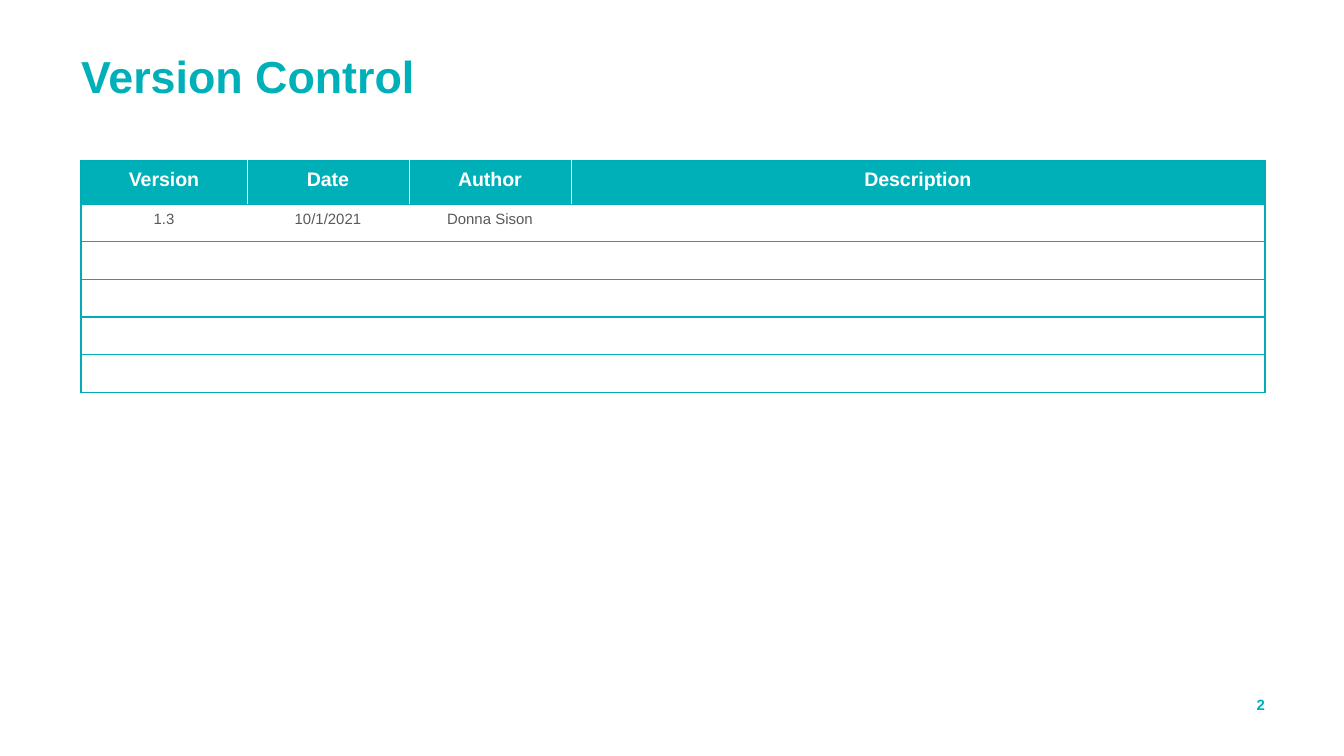
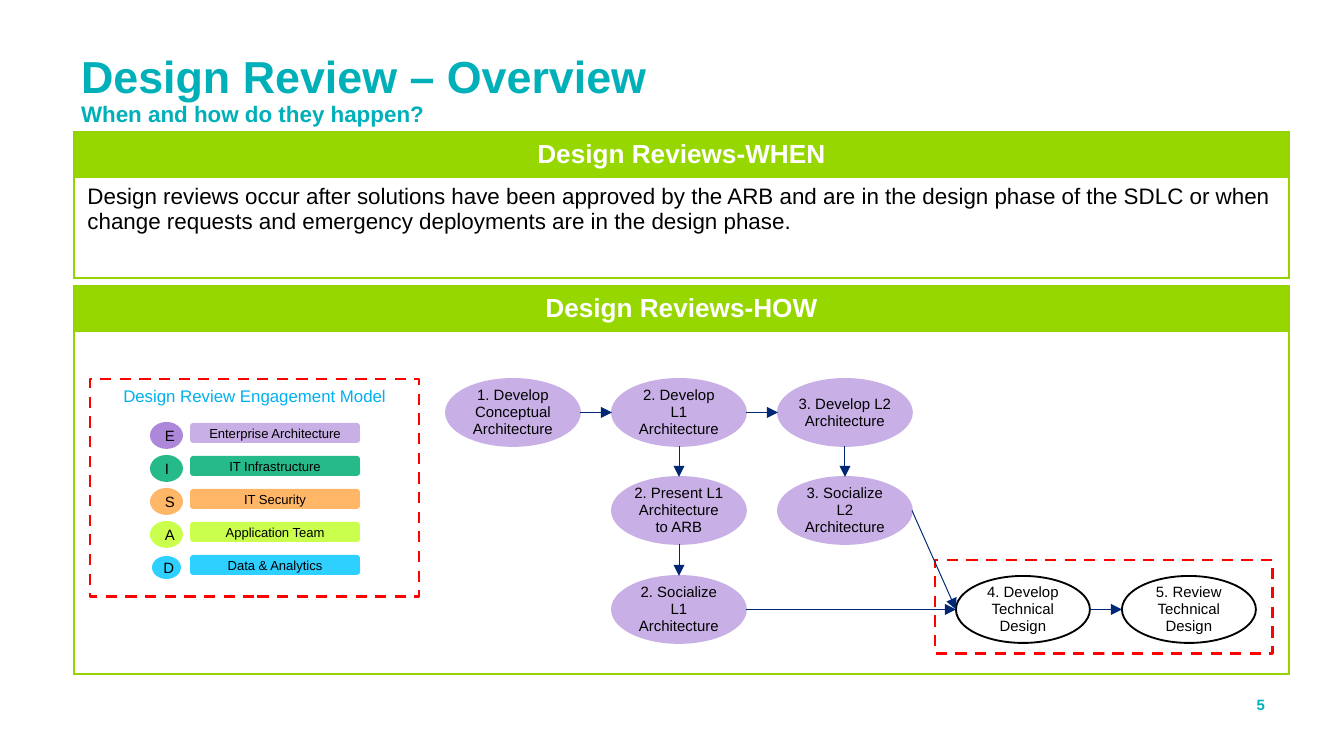
from pptx import Presentation
from pptx.dml.color import RGBColor
from pptx.enum.dml import MSO_LINE
from pptx.enum.shapes import MSO_CONNECTOR, MSO_SHAPE
from pptx.enum.text import MSO_ANCHOR, MSO_AUTO_SIZE, PP_ALIGN
from pptx.oxml import parse_xml
from pptx.oxml.ns import nsdecls, qn
from pptx.oxml.xmlchemy import OxmlElement
from pptx.util import Pt

LEFT, CENTER, RIGHT = PP_ALIGN.LEFT, PP_ALIGN.CENTER, PP_ALIGN.RIGHT
TOP, MIDDLE = MSO_ANCHOR.TOP, MSO_ANCHOR.MIDDLE
OVAL, RECTANGLE, ROUNDED = MSO_SHAPE.OVAL, MSO_SHAPE.RECTANGLE, MSO_SHAPE.ROUNDED_RECTANGLE
STRAIGHT, DASH, NO_FIT = MSO_CONNECTOR.STRAIGHT, MSO_LINE.DASH, MSO_AUTO_SIZE.NONE

PX = 914400 / 134.4
FONT = "Arial"
PLAIN_TABLE_STYLE = "{2D5ABB26-0587-4C30-8999-92F81FD0307C}"
COLORS = {
    "teal": "00B0B9",
    "teal_line": "00ACB5",
    "green": "97D700",
    "green_line": "94D200",
    "white": "FFFFFF",
    "black": "000000",
    "gray": "595959",
    "red": "FF0000",
    "sky": "00B0F0",
    "navy": "002776",
    "lilac": "C8AFE6",
    "violet": "AC87DA",
    "emerald": "26BA8B",
    "orange": "FFB666",
    "lime": "CAFF4E",
    "blue": "2DD0FF",
}
RGB = {name: RGBColor.from_string(value) for name, value in COLORS.items()}


def write_text(frame, text, size=8, color="black", bold=False, align=CENTER,
               anchor=MIDDLE, spacing=None, margins=None):
    frame.word_wrap = True
    frame.vertical_anchor = anchor
    if margins is not None:
        frame.margin_left = frame.margin_right = round(margins * PX)
        frame.margin_top = frame.margin_bottom = round(margins * PX)
    paragraph = frame.paragraphs[0]
    paragraph.text = text
    paragraph.alignment = align
    if spacing:
        paragraph.line_spacing = spacing
    for run in paragraph.runs:
        run.font.name = FONT
        run.font.size = Pt(size)
        run.font.bold = bold
        run.font.color.rgb = RGB[color]


def add_banded_table(slide, box, widths, heights, rows, band, line,
                     header_size, body_size, body_color, body_align, bottom_margin):
    frame = slide.shapes.add_table(len(rows), len(widths), *[round(v * PX) for v in box])
    table = frame.table
    table.first_row = table.horz_banding = False
    table._tbl.tblPr.find(qn("a:tableStyleId")).text = PLAIN_TABLE_STYLE
    for column, width in zip(table.columns, widths):
        column.width = round(width * PX)
    for row, height in zip(table.rows, heights):
        row.height = round(height * PX)
    last = len(widths) - 1
    for r, texts in enumerate(rows):
        header = r == 0
        for c, text in enumerate(texts):
            cell = table.cell(r, c)
            cell.margin_bottom = round(bottom_margin * PX)
            inner = ("white", 0.5) if header else None
            outer = (line, 0.75)
            sides = {"L": inner if c else outer, "R": inner if c < last else outer,
                     "T": outer, "B": outer}
            for side, border in sides.items():
                if border:
                    cell._tc.get_or_add_tcPr().append(parse_xml(
                        f'<a:ln{side} {nsdecls("a")} w="{Pt(border[1])}"><a:solidFill>'
                        f'<a:srgbClr val="{COLORS[border[0]]}"/></a:solidFill></a:ln{side}>'))
            if header:
                cell.fill.solid()
                cell.fill.fore_color.rgb = RGB[band]
            else:
                cell.fill.background()
            write_text(cell.text_frame, text, size=header_size if header else body_size,
                       color="white" if header else body_color, bold=header,
                       align=CENTER if header else body_align)
            cell.vertical_anchor = MIDDLE if header else TOP
            if not text:
                end = cell.text_frame.paragraphs[0]._p.get_or_add_endParaRPr()
                end.set("sz", str(body_size * 100))


presentation = Presentation()
presentation.slide_width = round(1344 * PX)
presentation.slide_height = round(756 * PX)

slides = []
for title_text, number, title_height in [
    ("Version Control", "2", 121),
    ("Design Review – Overview\vWhen and how do they happen?", "5", 82),
]:
    slide = presentation.slides.add_slide(presentation.slide_layouts[5])
    title = slide.shapes.title
    title.left, title.top, title.width, title.height = [
        round(v * PX) for v in (81, 55, 1184, title_height)]
    title.text_frame.auto_size = NO_FIT
    write_text(title.text_frame, title_text, size=24, color="teal", bold=True,
               align=LEFT, anchor=TOP, spacing=0.9, margins=0)
    for subtitle in title.text_frame.paragraphs[0].runs[1:]:
        subtitle.font.size = Pt(12)
    number_box = slide.shapes.add_textbox(*[round(v * PX) for v in (1228, 696, 37, 18)])
    write_text(number_box.text_frame, number, color="teal", bold=True,
               align=RIGHT, anchor=TOP, margins=0)
    slides.append(slide)
version_slide, review_slide = slides

version_rows = [
    ["Version", "Date", "Author", "Description"],
    ["1.3", "10/1/2021", "Donna Sison", ""],
] + [[""] * 4 for _ in range(4)]
add_banded_table(version_slide, (81, 161, 1184, 227), [166, 162, 162, 694],
                 [42] + [37] * 5, version_rows, "teal", "teal_line",
                 10.5, 8, "gray", CENTER, 13)

for top, body_height, heading, body in [
    (132, 101, "Design Reviews-WHEN",
     "Design reviews occur after solutions have been approved by the ARB and are in the "
     "design phase of the SDLC or when change requests and emergency deployments are in "
     "the design phase."),
    (286, 343, "Design Reviews-HOW", ""),
]:
    add_banded_table(review_slide, (74, top, 1215, 43 + body_height), [1215],
                     [43, body_height], [[heading], [body]], "green", "green_line",
                     14, 12, "black", LEFT, 7)

shape_specs = [
    (RECTANGLE, (90, 379, 329, 218), None, ("red", 1.5), "Design Review Engagement Model",
     dict(size=9, color="sky", anchor=TOP, margins=7)),
]

legend = [
    ("E", "Enterprise Architecture", "violet", "lilac", 0),
    ("I", "IT Infrastructure", "emerald", "emerald", 0),
    ("S", "IT Security", "orange", "orange", 0),
    ("A", "Application Team", "lime", "lime", 0),
    ("D", "Data & Analytics", "blue", "blue", 2),
]
for i, (letter, team, badge_color, bar_color, inset) in enumerate(legend):
    top = 422 + 33 * i
    badge_box = (150 + inset, top + inset, 33 - 2 * inset, 27 - 2 * inset)
    shape_specs.append((OVAL, badge_box, badge_color, None, letter, {}))
    shape_specs.append((ROUNDED, (190, top + 1, 170, 20), bar_color, None, team, dict(size=7)))

STEP_WIDTH, STEP_HEIGHT = 134, 67
column_lefts = [446, 612, 778, 956, 1122]
row_tops = [379, 477, 576]
steps = {
    (0, 0): "1. Develop Conceptual Architecture",
    (1, 0): "2. Develop\vL1 Architecture",
    (2, 0): "3. Develop L2 Architecture",
    (1, 1): "2. Present L1 Architecture to ARB",
    (2, 1): "3. Socialize L2 Architecture",
    (1, 2): "2. Socialize L1 Architecture",
    (3, 2): "4. Develop Technical Design",
    (4, 2): "5. Review Technical Design",
}
for (column, row), text in steps.items():
    technical = column > 2
    shape_specs.append((
        OVAL, (column_lefts[column], row_tops[row], STEP_WIDTH, STEP_HEIGHT),
        None if technical else "lilac", ("black" if technical else "lilac", 1),
        text, dict(spacing=0.95, margins=0)))
shape_specs.append((RECTANGLE, (935, 560, 338, 94), None, ("red", 1.5), "", {}))

for kind, box, fill, outline, text, text_format in shape_specs:
    shape = review_slide.shapes.add_shape(kind, *[round(v * PX) for v in box])
    shape.shadow.inherit = False
    if fill:
        shape.fill.solid()
        shape.fill.fore_color.rgb = RGB[fill]
    else:
        shape.fill.background()
    if outline:
        shape.line.color.rgb = RGB[outline[0]]
        shape.line.width = Pt(outline[1])
        if outline[0] == "red":
            shape.line.dash_style = DASH
    else:
        shape.line.fill.background()
    if text:
        write_text(shape.text_frame, text, **text_format)

for start, end in [
    ((0, 0), (1, 0)), ((1, 0), (2, 0)), ((1, 0), (1, 1)), ((2, 0), (2, 1)),
    ((2, 1), (3, 2)), ((1, 2), (3, 2)), ((3, 2), (4, 2)), ((1, 1), (1, 2)),
]:
    x1, y1 = column_lefts[start[0]], row_tops[start[1]]
    x2, y2 = column_lefts[end[0]], row_tops[end[1]]
    if start[0] == end[0]:
        points = (x1 + STEP_WIDTH / 2, y1 + STEP_HEIGHT, x2 + STEP_WIDTH / 2, y2)
    else:
        points = (x1 + STEP_WIDTH, y1 + STEP_HEIGHT / 2, x2, y2 + STEP_HEIGHT / 2)
    connector = review_slide.shapes.add_connector(STRAIGHT, *[round(v * PX) for v in points])
    connector.line.color.rgb = RGB["navy"]
    connector.line.width = Pt(0.5)
    properties = connector._element.spPr
    arrowhead = OxmlElement("a:tailEnd")
    arrowhead.set("type", "triangle")
    properties.find(qn("a:ln")).append(arrowhead)
    properties.append(OxmlElement("a:effectLst"))

presentation.save("out.pptx")
